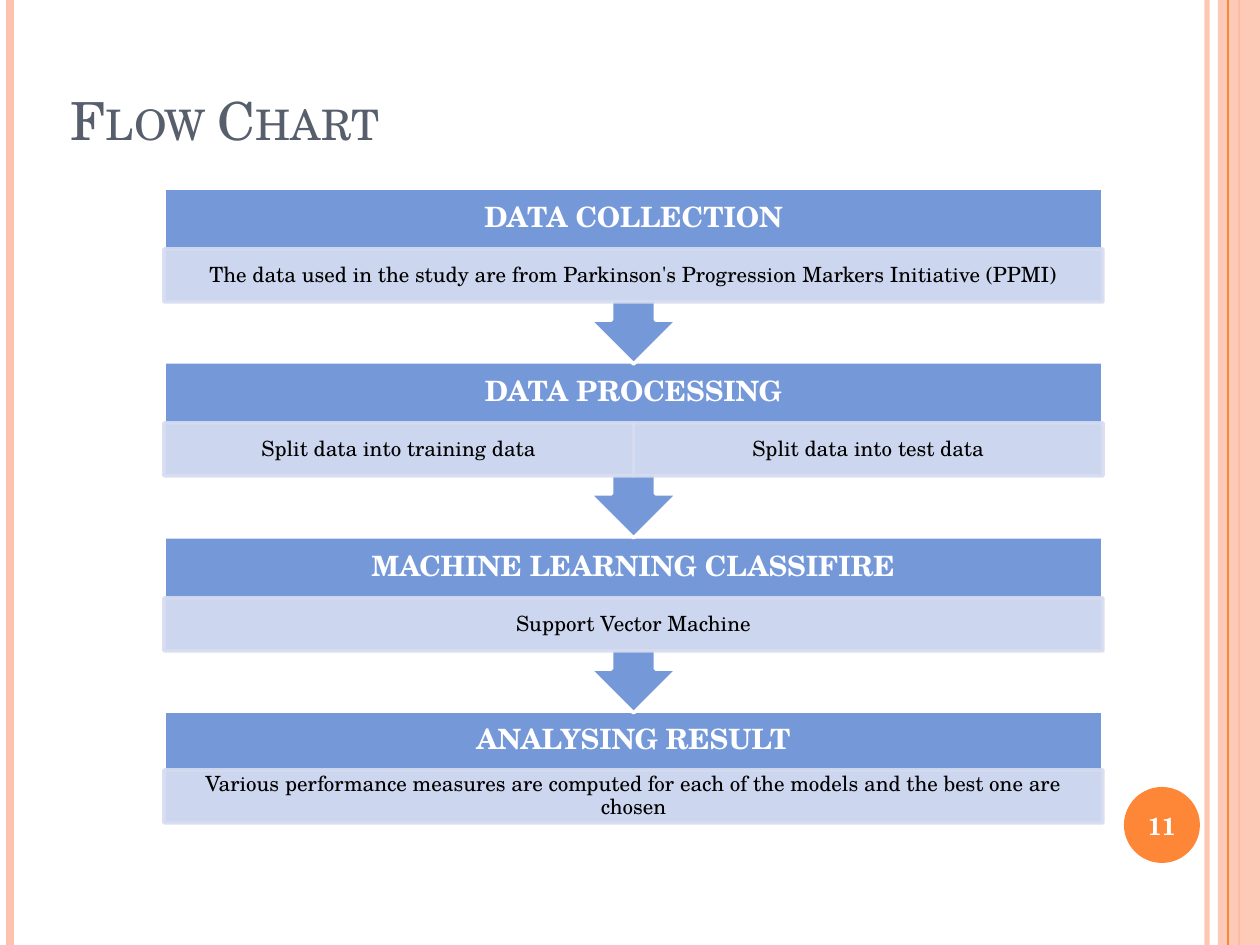
from dataclasses import dataclass

from pptx import Presentation
from pptx.dml.color import RGBColor
from pptx.enum.shapes import MSO_CONNECTOR, MSO_SHAPE
from pptx.enum.text import MSO_ANCHOR, PP_ALIGN
from pptx.oxml.ns import qn
from pptx.oxml.xmlchemy import OxmlElement
from pptx.util import Emu, Pt

EMU_PER_PIXEL = 914400 / 126
FONT = "TeX Gyre Schola"
WHITE = RGBColor(0xFF, 0xFF, 0xFF)
BLACK = RGBColor(0, 0, 0)
SLATE = RGBColor(0x57, 0x5F, 0x6D)
PEACH = RGBColor(0xFE, 0xC3, 0xAE)
ORANGE = RGBColor(0xFE, 0x86, 0x37)
BLUE = RGBColor(0x75, 0x98, 0xD9)
PALE_BLUE = RGBColor(0xD6, 0xDD, 0xF1)

# Flow chart grid, in pixels
FLOW_LEFT, FLOW_TOP, FLOW_WIDTH = 164, 188, 939
CALLOUT_HEIGHT, LAST_HEIGHT = 176, 114
HEADING_HEIGHT, LAST_HEADING_HEIGHT, DETAIL_HEIGHT = 61, 59, 53
STEP_PITCH = 174.5


@dataclass(frozen=True)
class Rule:
    x: int
    color: RGBColor
    weight: float
    opacity: int = 100


@dataclass(frozen=True)
class Step:
    heading: str
    details: tuple[str, ...]


RULES = (
    Rule(1207, PEACH, 3, 93),
    Rule(10, PEACH, 4.5),
    Rule(1239, ORANGE, 1.5),
    Rule(1228, ORANGE, 0.75),
)
STEPS = (
    Step("DATA COLLECTION", (
        "The data used in the study are from Parkinson's Progression Markers Initiative (PPMI)",)),
    Step("DATA PROCESSING", ("Split data into training data", "Split data into test data")),
    Step("MACHINE LEARNING CLASSIFIRE", ("Support Vector Machine",)),
    Step("ANALYSING RESULT", (
        "Various performance measures are computed for each of the models "
        "and the best one are chosen",)),
)


def px(pixels: float) -> Emu:
    return Emu(round(pixels * EMU_PER_PIXEL))


def set_opacity(shape, percent: int) -> None:
    for color in shape.element.spPr.iter(qn("a:srgbClr")):
        alpha = OxmlElement("a:alpha")
        alpha.set("val", str(percent * 1000))
        color.append(alpha)


def add_rule(slide, rule: Rule) -> None:
    connector = slide.shapes.add_connector(
        MSO_CONNECTOR.STRAIGHT, px(rule.x), 0, px(rule.x), px(945))
    connector.line.color.rgb = rule.color
    connector.line.width = Pt(rule.weight)
    connector.element.spPr.append(OxmlElement("a:effectLst"))
    if rule.opacity < 100:
        set_opacity(connector, rule.opacity)


def add_block(slide, kind, left, top, width, height, fill, line=None, opacity=100):
    shape = slide.shapes.add_shape(kind, px(left), px(top), px(width), px(height))
    shape.shadow.inherit = False
    shape.fill.solid()
    shape.fill.fore_color.rgb = fill
    if line is None:
        shape.line.fill.background()
    else:
        shape.line.color.rgb = line
        shape.line.width = Pt(2)
    if opacity < 100:
        set_opacity(shape, opacity)
    return shape


def write_text(shape, text: str, size: int, color: RGBColor, bold=False,
               align=PP_ALIGN.CENTER, anchor=MSO_ANCHOR.MIDDLE,
               margins=(12, 6), spacing=1.0):
    frame = shape.text_frame
    frame.word_wrap = True
    frame.vertical_anchor = anchor
    frame.margin_left = frame.margin_right = px(margins[0])
    frame.margin_top = frame.margin_bottom = px(margins[1])
    paragraph = frame.paragraphs[0]
    paragraph.alignment = align
    paragraph.line_spacing = spacing
    run = paragraph.add_run()
    run.text = text
    run.font.name = FONT
    run.font.size = Pt(size)
    run.font.bold = bold
    run.font.color.rgb = color
    return run


def add_text_box(slide, left, top, width, height):
    return slide.shapes.add_textbox(px(left), px(top), px(width), px(height))


def add_step(slide, index: int, step: Step) -> None:
    top = FLOW_TOP + int(index * STEP_PITCH)
    is_last = index == len(STEPS) - 1
    kind = MSO_SHAPE.RECTANGLE if is_last else MSO_SHAPE.UP_ARROW_CALLOUT
    height = LAST_HEIGHT if is_last else CALLOUT_HEIGHT
    heading_height = LAST_HEADING_HEIGHT if is_last else HEADING_HEIGHT

    background = add_block(slide, kind, FLOW_LEFT, top, FLOW_WIDTH, height, BLUE, WHITE)
    if not is_last:
        background.rotation = 180
    heading = add_text_box(slide, FLOW_LEFT, top, FLOW_WIDTH, heading_height)
    write_text(heading, step.heading, 16, WHITE, bold=True, margins=(15, 15), spacing=0.9)

    detail_width = FLOW_WIDTH / len(step.details)
    for column, text in enumerate(step.details):
        detail = add_block(slide, MSO_SHAPE.RECTANGLE, FLOW_LEFT + column * detail_width,
                           top + heading_height, detail_width, DETAIL_HEIGHT,
                           PALE_BLUE, PALE_BLUE, 90)
        write_text(detail, text, 12, BLACK, margins=(11, 2), spacing=0.9)


presentation = Presentation()
presentation.slide_width, presentation.slide_height = px(1260), px(945)
slide = presentation.slides.add_slide(presentation.slide_layouts[5])

# Side bands and rules
for rule in RULES[:3]:
    add_rule(slide, rule)
add_block(slide, MSO_SHAPE.RECTANGLE, 1218, 0, 42, 945, PEACH, opacity=87)
add_rule(slide, RULES[3])

# Title
title = slide.shapes.title
title.left, title.top, title.width, title.height = px(59), px(0), px(1029), px(157)
title_run = write_text(title, "Flow Chart", 30, SLATE,
                       align=PP_ALIGN.LEFT, anchor=MSO_ANCHOR.BOTTOM)
title_run.font.element.set("cap", "small") if hasattr(title_run.font, "element") else \
    title_run._r.get_or_add_rPr().set("cap", "small")

# Page number badge
add_block(slide, MSO_SHAPE.OVAL, 1124, 787, 76, 76, ORANGE)
page_number = add_text_box(slide, 1120, 790, 84, 72)
write_text(page_number, "11", 14, WHITE, bold=True)

# Flow chart, from the last step up so that each arrow overlaps the next step
for index, step in reversed(list(enumerate(STEPS))):
    add_step(slide, index, step)

presentation.save("out.pptx")
